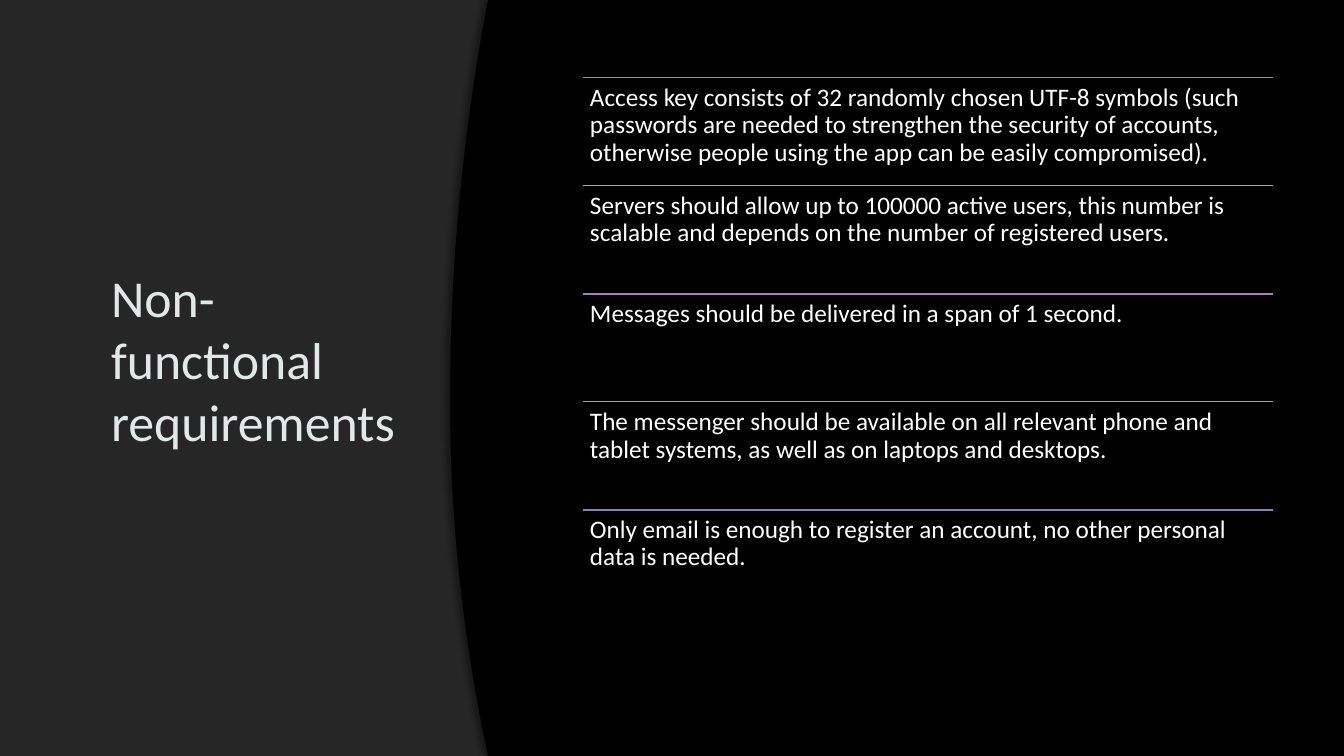
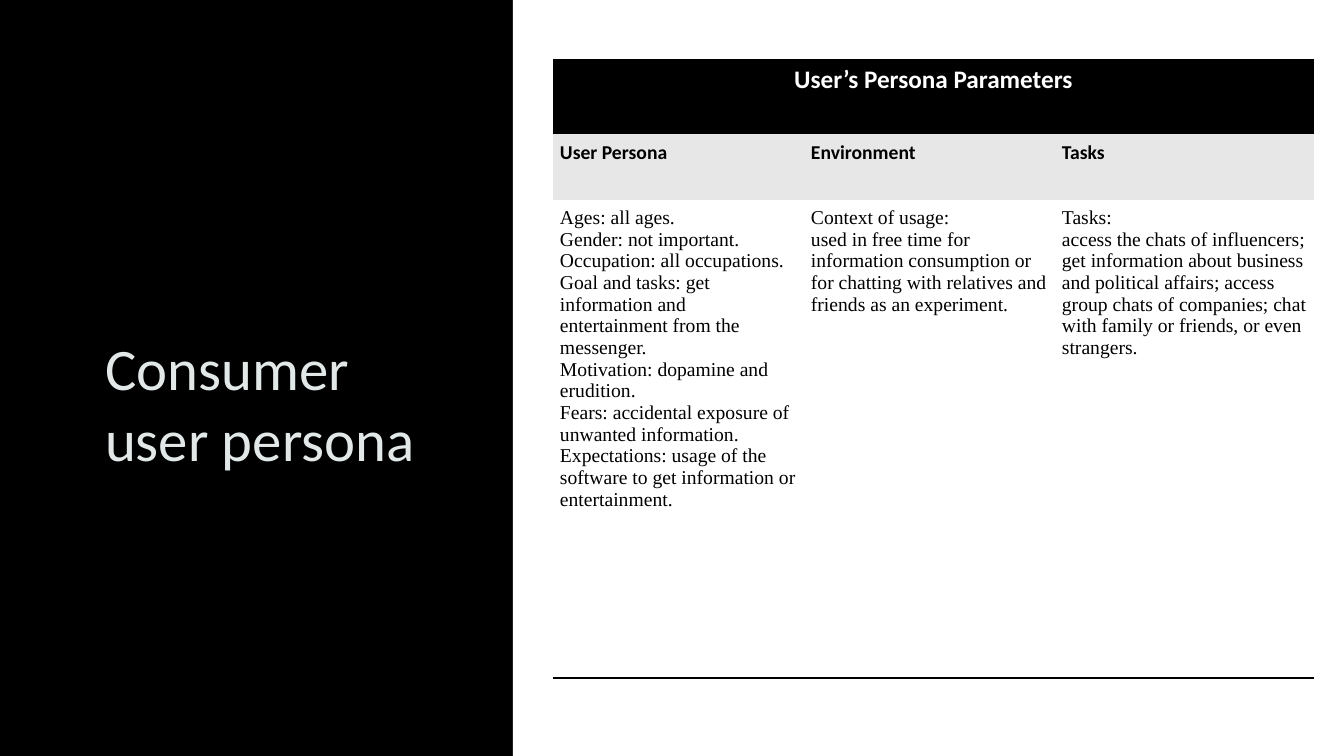
from lxml import etree
from pptx import Presentation
from pptx import util as u
from pptx.dml.color import RGBColor
from pptx.enum import shapes, text
from pptx.oxml.ns import qn

PX = 914400 / 100.8
WIDTH, HEIGHT = 1344, 756
COLORS = {
    "black": "000000", "white": "FFFFFF", "panel": "262626",
    "title": "E2E8E8", "subheader": "E7E7E7",
}
RULE_COLORS = ["BA7F9B", "C492BF", "A87FBA", "A496C6", "7F87BA"]
REQUIREMENTS = [
    "Access key consists of 32 randomly chosen UTF-8 symbols (such passwords are needed to "
    "strengthen the security of accounts, otherwise people using the app can be easily compromised).",
    "Servers should allow up to 100000 active users, this number is scalable and depends on "
    "the number of registered users.",
    "Messages should be delivered in a span of 1 second.",
    "The messenger should be available on all relevant phone and tablet systems, as well as on "
    "laptops and desktops.",
    "Only email is enough to register an account, no other personal data is needed.",
]
PERSONA = {
    "User Persona": [
        "Ages: all ages.",
        "Gender: not important.",
        "Occupation: all occupations.",
        "Goal and tasks: get information and entertainment from the messenger.",
        "Motivation: dopamine and erudition.",
        "Fears: accidental exposure of unwanted information.",
        "Expectations: usage of the software to get information or entertainment.",
    ],
    "Environment": [
        "Context of usage:",
        "used in free time for information consumption or for chatting with relatives and "
        "friends as an experiment.",
    ],
    "Tasks": [
        "Tasks:",
        "access the chats of influencers; get information about business and political affairs; "
        "access group chats of companies; chat with family or friends, or even strangers.",
    ],
}


def px(n):
    return u.Emu(round(n * PX))


def rgb(color):
    return RGBColor.from_string(COLORS.get(color, color))


def add_shadow(effects, direction):
    shadow = etree.SubElement(effects, qn("a:outerShdw"), blurRad=str(u.Pt(4)),
                              dist=str(u.Pt(3)), dir=str(direction * 60000))
    color = etree.SubElement(shadow, qn("a:srgbClr"), val=COLORS["black"])
    etree.SubElement(color, qn("a:alpha"), val="40000")


class Deck:
    def __init__(self):
        self.prs = Presentation()
        self.prs.slide_width, self.prs.slide_height = px(WIDTH), px(HEIGHT)
        background = self.prs.slide_master.background.fill
        background.solid()
        background.fore_color.rgb = rgb("black")
        self.s = None

    def new_slide(self):
        self.s = self.prs.slides.add_slide(self.prs.slide_layouts[5])

    def set_text(self, tf, content, size, color, font="Calibri", bold=False,
                 align=text.PP_ALIGN.LEFT, spacing=1.0):
        tf.word_wrap = True
        tf.text = content
        for p in tf.paragraphs:
            p.alignment = align
            p.line_spacing = spacing
            p.font.size = u.Pt(size)
            p.font.name = font
            p.font.bold = bold
            p.font.color.rgb = rgb(color)

    def title(self, content, x, y, w, h, size, anchor):
        sp = self.s.shapes.title
        self.s.shapes.element.append(sp.element)
        sp.left, sp.top, sp.width, sp.height = px(x), px(y), px(w), px(h)
        tf = sp.text_frame
        tf.auto_size = text.MSO_AUTO_SIZE.NONE
        tf.vertical_anchor = anchor
        self.set_text(tf, content, size, "title")
        for r in sp.element.iter(qn("a:r")):
            add_shadow(etree.SubElement(r.get_or_add_rPr(), qn("a:effectLst")), 45)

    def paint(self, sp, color):
        sp.fill.solid()
        sp.fill.fore_color.rgb = rgb(color)
        sp.line.fill.background()
        sp.shadow.inherit = False

    def rect(self, x, y, w, h, color):
        sp = self.s.shapes.add_shape(shapes.MSO_SHAPE.RECTANGLE, px(x), px(y), px(w), px(h))
        self.paint(sp, color)

    def curved_panel(self, apex_x, apex_y, bulge, color):
        points = [(px(WIDTH), px(HEIGHT))]
        for y in range(HEIGHT, -1, -14):
            reach = apex_y if y < apex_y else HEIGHT - apex_y
            points.append((px(apex_x + bulge * ((y - apex_y) / reach) ** 2), px(y)))
        outline = self.s.shapes.build_freeform(px(WIDTH), 0, scale=1.0)
        outline.add_line_segments(points, close=True)
        sp = outline.convert_to_shape()
        self.paint(sp, color)
        add_shadow(sp.element.spPr.find(qn("a:effectLst")), 180)

    def rule(self, x, y, w, color):
        line = self.s.shapes.add_connector(shapes.MSO_CONNECTOR.STRAIGHT,
                                           px(x), px(y), px(x + w), px(y))
        line.line.color.rgb = rgb(color)
        line.line.width = u.Pt(0.75)
        etree.SubElement(line.element.spPr, qn("a:effectLst"))

    def text_box(self, content, x, y, w, h):
        tf = self.s.shapes.add_textbox(px(x), px(y), px(w), px(h)).text_frame
        tf.margin_left = tf.margin_right = tf.margin_top = tf.margin_bottom = px(7)
        self.set_text(tf, content, 18, "white", spacing=0.9)

    def cell(self, cell, content, fill, borders="", margins=(7, 7), **style):
        cell.margin_left = cell.margin_right = px(margins[0])
        cell.margin_top = cell.margin_bottom = px(margins[1])
        tcPr = cell._tc.get_or_add_tcPr()
        for side in "LRTB":
            ln = etree.SubElement(tcPr, qn(f"a:ln{side}"), w=str(u.Pt(2)))
            if side in borders:
                solid = etree.SubElement(ln, qn("a:solidFill"))
                etree.SubElement(solid, qn("a:srgbClr"), val=COLORS["black"])
            else:
                etree.SubElement(ln, qn("a:noFill"))
        cell.fill.solid()
        cell.fill.fore_color.rgb = rgb(fill)
        self.set_text(cell.text_frame, content, **style)

    def table(self, heading, columns, x, y, widths, heights):
        table = self.s.shapes.add_table(len(heights), len(widths), px(x), px(y),
                                        px(sum(widths)), px(sum(heights))).table
        table.first_row = table.horz_banding = False
        for row, h in zip(table.rows, heights):
            row.height = px(h)
        table.cell(0, 0).merge(table.cell(0, len(widths) - 1))
        for i, (label, lines) in enumerate(columns.items()):
            table.columns[i].width = px(widths[i])
            self.cell(table.cell(0, i), "" if i else heading, "black", "TB", (10, 5),
                      size=18, color="white", bold=True, align=text.PP_ALIGN.CENTER)
            self.cell(table.cell(1, i), label, "subheader", size=14, color="black", bold=True)
            self.cell(table.cell(2, i), "\n".join(lines), "white", "B",
                      size=14, color="black", font="Times New Roman")


def requirements_slide(deck):
    deck.new_slide()
    deck.rect(0, 0, WIDTH, HEIGHT, "panel")
    deck.title("Non-functional requirements", 101, 68, 308, 582, 37, text.MSO_ANCHOR.MIDDLE)
    deck.curved_panel(450, 400, 38, "black")
    left, top, width, pitch = 583, 78, 690, 108
    for i, (color, requirement) in enumerate(zip(RULE_COLORS, REQUIREMENTS)):
        y = top + i * pitch
        deck.rule(left, y, width, color)
        deck.text_box(requirement, left, y, width, pitch)


def persona_slide(deck):
    deck.new_slide()
    deck.title("Consumer user persona", 95, 92, 373, 386, 42, text.MSO_ANCHOR.BOTTOM)
    deck.rect(513, 0, WIDTH - 513, HEIGHT, "white")
    deck.table("User’s Persona Parameters", PERSONA, 553, 60, [251, 251, 259], [74, 66, 478])


def main():
    deck = Deck()
    requirements_slide(deck)
    persona_slide(deck)
    deck.prs.save("out.pptx")


if __name__ == "__main__":
    main()
